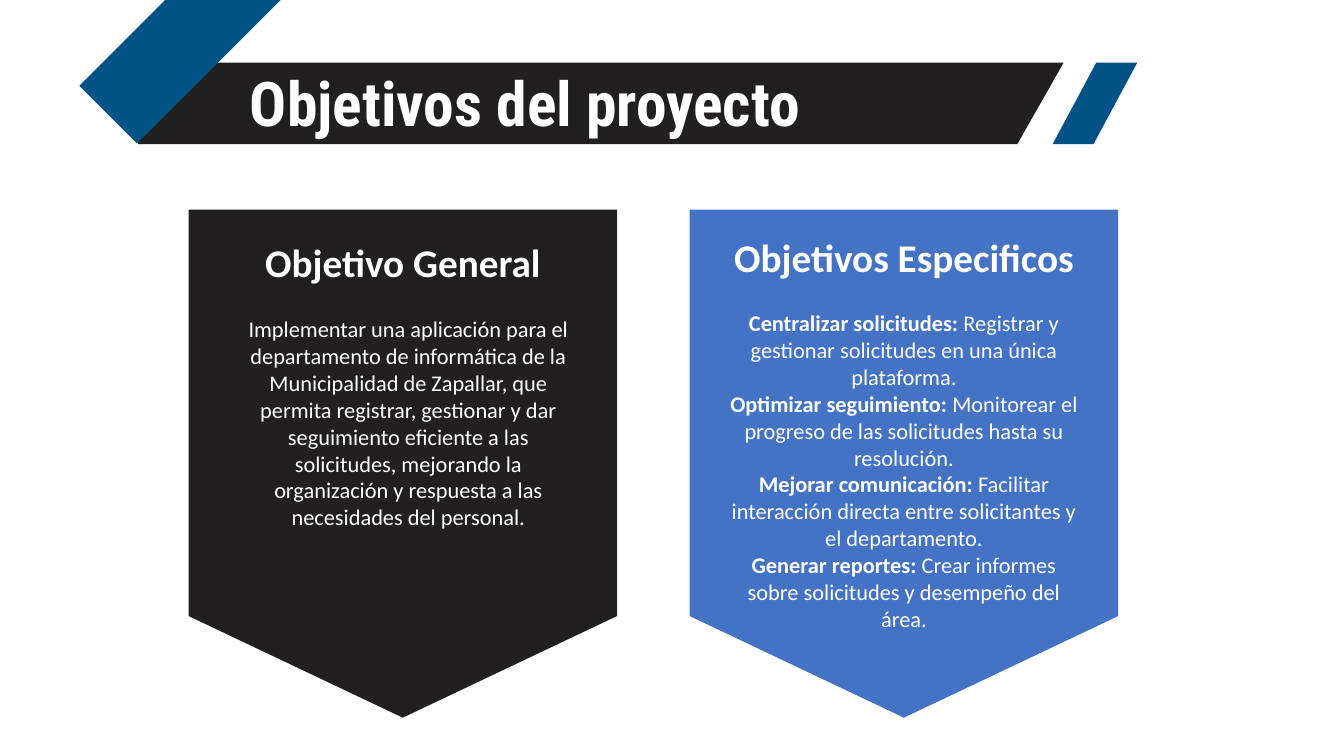
from pptx import Presentation
from pptx.dml.color import RGBColor
from pptx.enum.shapes import MSO_SHAPE
from pptx.enum.text import MSO_AUTO_SIZE, PP_ALIGN
from pptx.util import Inches, Pt

PARALLELOGRAM = MSO_SHAPE.PARALLELOGRAM
PENNANT = MSO_SHAPE.FLOWCHART_OFFPAGE_CONNECTOR
GROW = MSO_AUTO_SIZE.SHAPE_TO_FIT_TEXT
LEFT, CENTER = PP_ALIGN.LEFT, PP_ALIGN.CENTER
BLACK, NAVY, BLUE, WHITE = "211F20", "015287", "4472C4", "FFFFFF"


def paint(shape, color):
    shape.shadow.inherit = False
    shape.fill.solid()
    shape.fill.fore_color.rgb = RGBColor.from_string(color)
    shape.line.fill.background()


def write(box, paragraphs, size, font, align):
    frame = slide.shapes.add_textbox(*map(Inches, box)).text_frame
    frame.word_wrap = True
    frame.auto_size = GROW
    for i, (bold_part, plain_part) in enumerate(paragraphs):
        paragraph = frame.add_paragraph() if i else frame.paragraphs[0]
        paragraph.alignment = align
        for text, bold in ((bold_part, True), (plain_part, False)):
            if text:
                run = paragraph.add_run()
                run.text = text
                run.font.name = font
                run.font.size = Pt(size)
                run.font.bold = bold
                run.font.color.rgb = RGBColor.from_string(WHITE)


prs = Presentation()
prs.slide_width, prs.slide_height = Inches(13.33), Inches(7.5)
slide = prs.slides.add_slide(prs.slide_layouts[6])

banner_points = [(1.37, 0.62), (10.55, 0.62), (10.09, 1.43), (1.37, 1.43)]
ribbon_points = [(0.72, -0.12), (3.13, -0.12), (3.01, 0.69), (0.72, 0.69)]

outlines = []
for points, color, angle in ((banner_points, BLACK, 0), (ribbon_points, NAVY, 315)):
    corners = [(Inches(x), Inches(y)) for x, y in points]
    builder = slide.shapes.build_freeform(*corners[0])
    builder.add_line_segments(corners[1:])
    outline = builder.convert_to_shape()
    outline.rotation = angle
    paint(outline, color)

accent = slide.shapes.add_shape(
    PARALLELOGRAM, Inches(10.44), Inches(0.62), Inches(0.84), Inches(0.81))
accent.adjustments[0] = 0.536
paint(accent, NAVY)

write((2.38, 0.59, 7.38, 0.84), [("Objetivos del proyecto", "")],
      44, "Roboto Condensed", LEFT)

general_goal = [(
    "",
    "Implementar una aplicación para el departamento de informática de la "
    "Municipalidad de Zapallar, que permita registrar, gestionar y dar "
    "seguimiento eficiente a las solicitudes, mejorando la organización y "
    "respuesta a las necesidades del personal.",
)]
specific_goals = [
    ("Centralizar solicitudes:",
     " Registrar y gestionar solicitudes en una única plataforma."),
    ("Optimizar seguimiento:",
     " Monitorear el progreso de las solicitudes hasta su resolución."),
    ("Mejorar comunicación:",
     " Facilitar interacción directa entre solicitantes y el departamento."),
    ("Generar reportes:",
     " Crear informes sobre solicitudes y desempeño del área."),
]
cards = [
    (1.87, BLACK, "Objetivo General", (2.4, 2.32, 3.19, 0.57),
     general_goal, (2.26, 3.08, 3.58, 2.26)),
    (6.84, BLUE, "Objetivos Especificos", (7.12, 2.27, 3.69, 0.57),
     specific_goals, (7.09, 3.02, 3.75, 3.6)),
]
for left, color, heading, heading_box, goals, goals_box in cards:
    pennant = slide.shapes.add_shape(
        PENNANT, Inches(left), Inches(2.08), Inches(4.25), Inches(5.04))
    paint(pennant, color)
    write(goals_box, goals, 16, "Calibri", CENTER)
    write(heading_box, [(heading, "")], 28, "Calibri", CENTER)

prs.save("out.pptx")
